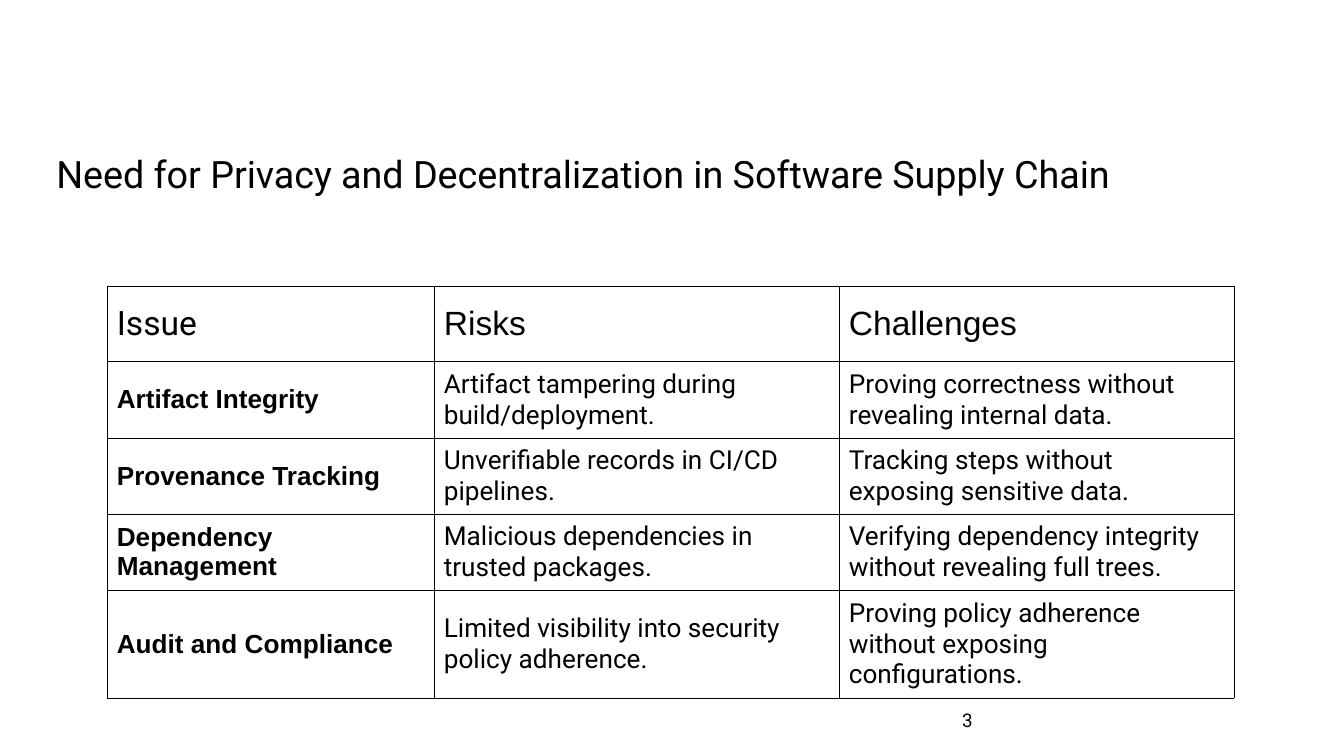
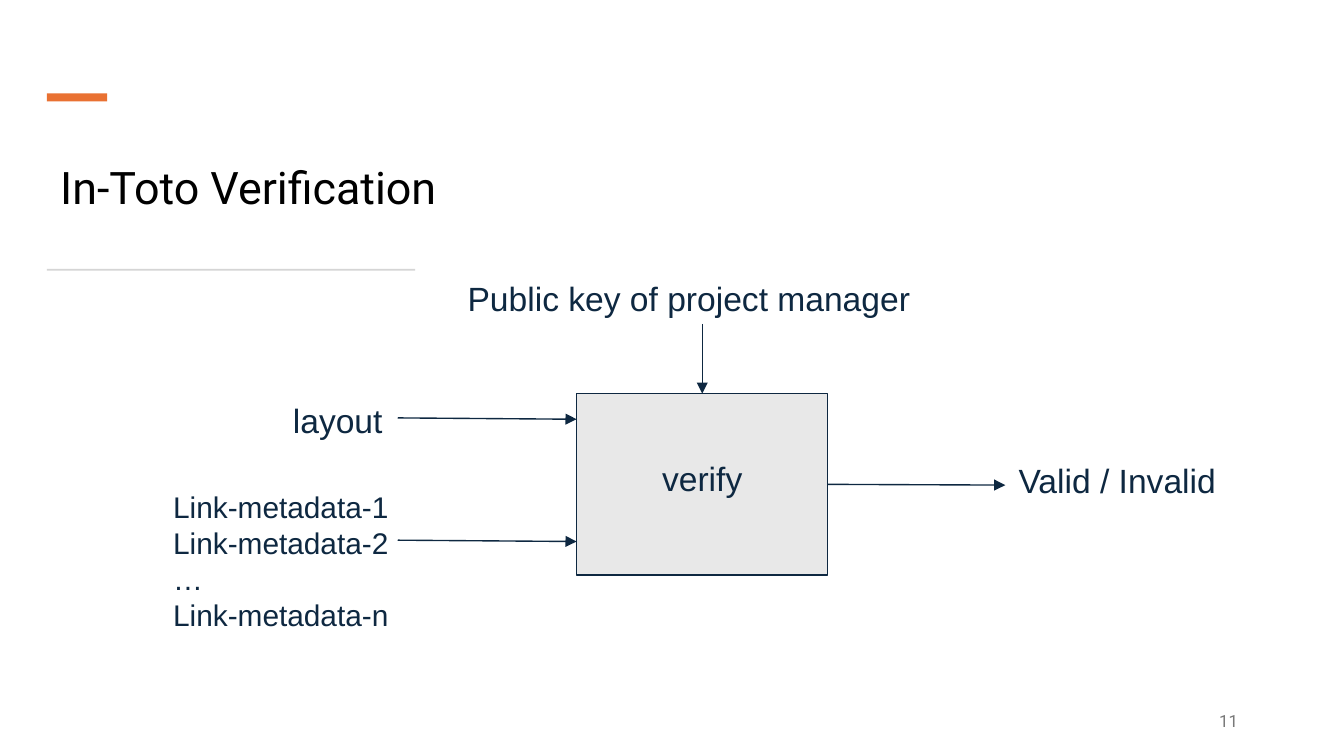
from dataclasses import dataclass

from lxml.etree import SubElement as add_node
from pptx import Presentation
from pptx.dml.color import RGBColor
from pptx.enum.shapes import MSO_CONNECTOR as Connector, MSO_SHAPE as Preset
from pptx.enum.text import MSO_ANCHOR as Anchor, PP_ALIGN as Align
from pptx.oxml.ns import qn
from pptx.util import Pt


@dataclass(frozen=True)
class Theme:
    heading: str = "Roboto"
    body: str = "Arial"
    ink: str = "000000"
    navy: str = "0E2841"
    panel: str = "E8E8E8"
    accent: str = "E97132"
    rule: str = "D5D5D5"
    muted: str = "797979"
    large: float = 18
    medium: float = 16
    small: float = 14
    line: float = 0.75
    border: float = 0.25


@dataclass(frozen=True)
class Box:
    left: float
    top: float
    width: float
    height: float

    def inside(self, left, top, width, height):
        return Box(self.left + left, self.top + top, width, height)

    def point(self, left, top):
        return Pt(self.left + left), Pt(self.top + top)

    def lengths(self):
        return Pt(self.left), Pt(self.top), Pt(self.width), Pt(self.height)


THEME = Theme()
TIGHT = (5, 3.6)
ROOMY = (7.2, 7.2)
NORMAL = (7.2, 3.6)
NUMBER_BOX = Box(508.3, 375.1, 162, 21.6)
HEADERS = ("Issue", "Risks", "Challenges")
ISSUES = (
    ("Artifact Integrity", "Artifact tampering during build/deployment.",
     "Proving correctness without revealing internal data."),
    ("Provenance Tracking", "Unverifiable records in CI/CD pipelines.",
     "Tracking steps without exposing sensitive data."),
    ("Dependency Management", "Malicious dependencies in trusted packages.",
     "Verifying dependency integrity without revealing full trees."),
    ("Audit and Compliance", "Limited visibility into security policy adherence.",
     "Proving policy adherence without exposing configurations."),
)


def apply(target, values):
    for name, value in values.items():
        setattr(target, name, value)


def margins(inset):
    across, down = (Pt(value) for value in inset)
    return dict(margin_left=across, margin_right=across,
                margin_top=down, margin_bottom=down)


def write(frame, lines, size, font, color, bold=False, **para_format):
    for index, line in enumerate(lines):
        para = frame.add_paragraph() if index else frame.paragraphs[0]
        apply(para, para_format)
        span = para.add_run()
        span.text = line
        apply(span.font, dict(size=Pt(size), name=font, bold=bold))
        span.font.color.rgb = RGBColor.from_string(color)


def add_text(page, box, lines, size, font, color,
             inset=NORMAL, anchor=Anchor.TOP, **para_format):
    frame = page.shapes.add_textbox(*box.lengths()).text_frame
    apply(frame, dict(word_wrap=True, vertical_anchor=anchor, **margins(inset)))
    write(frame, lines, size, font, color, **para_format)


def add_title(page, box, text, size, inset=NORMAL):
    add_text(page, box, [text], size, THEME.heading, THEME.ink,
             inset, Anchor.MIDDLE, line_spacing=0.9)


def add_number(page, text, size, color, align):
    add_text(page, NUMBER_BOX, [text], size, THEME.heading, color,
             anchor=Anchor.MIDDLE, alignment=align)


def add_block(page, box, fill, line=None):
    block = page.shapes.add_shape(Preset.RECTANGLE, *box.lengths())
    block.shadow.inherit = False
    block.fill.solid()
    block.fill.fore_color.rgb = RGBColor.from_string(fill)
    if line:
        block.line.color.rgb = RGBColor.from_string(line)
        block.line.width = Pt(THEME.line)
    else:
        block.line.fill.background()
    return block


def add_arrow(page, start, end):
    arrow = page.shapes.add_connector(Connector.STRAIGHT, *start, *end)
    arrow.line.color.rgb = RGBColor.from_string(THEME.navy)
    arrow.line.width = Pt(THEME.line)
    add_node(arrow.line._get_or_add_ln(), qn("a:tailEnd"), type="triangle")
    add_node(arrow._element.spPr, qn("a:effectLst"))
    return arrow


def add_borders(cell):
    properties = cell._tc.get_or_add_tcPr()
    for side in ("lnL", "lnR", "lnT", "lnB"):
        line = add_node(properties, qn(f"a:{side}"), w=str(Pt(THEME.border)))
        fill = add_node(line, qn("a:solidFill"))
        add_node(fill, qn("a:srgbClr"), val=THEME.ink)


def add_issue_table(page, box, widths):
    rows = (HEADERS, *ISSUES)
    table = page.shapes.add_table(len(rows), len(widths), *box.lengths()).table
    apply(table, dict(first_row=False, horz_banding=False))
    for column, width in zip(table.columns, widths):
        column.width = Pt(width)
    for row_index, texts in enumerate(rows):
        table.rows[row_index].height = Pt(box.height / len(rows))
        for column_index, text in enumerate(texts):
            cell = table.cell(row_index, column_index)
            header = row_index == 0
            label = not header and column_index == 0
            plain = label or (header and column_index > 0)
            add_borders(cell)
            cell.fill.background()
            apply(cell, dict(vertical_anchor=Anchor.MIDDLE, **margins(TIGHT)))
            write(cell.text_frame, [text],
                  THEME.large if header else THEME.small,
                  THEME.body if plain else THEME.heading,
                  THEME.ink, bold=label)


def add_verify_diagram(page, box):
    verify = add_block(page, box.inside(223.2, 69.1, 134.6, 97.2),
                       THEME.panel, THEME.navy)
    links = ["Link-metadata-1", "Link-metadata-2", "…", "Link-metadata-n"]
    labels = (
        ((231.1, 96.5, 118.8, 36.7), ["verify"], THEME.large, Align.CENTER),
        ((64.1, 65.5, 64.1, 34.6), ["layout"], THEME.large, Align.LEFT),
        ((0, 113, 152.6, 97.2), links, THEME.medium, Align.LEFT),
        ((452.9, 97.2, 133.9, 36.7), ["Valid / Invalid"], THEME.large, Align.LEFT),
        ((157.7, 0, 265, 34.6), ["Public key of project manager"],
         THEME.large, Align.LEFT),
    )
    for place, lines, size, align in labels:
        add_text(page, box.inside(*place), lines, size, THEME.body, THEME.navy,
                 ROOMY, alignment=align)
    for height in (82.1, 147.6):
        add_arrow(page, box.point(127.4, height), box.point(223.2, height + 0.7))
    result = add_arrow(page, box.point(357.8, 117.7), box.point(452.9, 118.1))
    result.begin_connect(verify, 3)
    key = add_arrow(page, box.point(290.5, 31.7), box.point(290.5, 69.1))
    key.end_connect(verify, 0)


def build_issues(page):
    add_title(page, Box(25.2, 64.1, 674.6, 60.5),
              "Need for Privacy and Decentralization in Software Supply Chain",
              20.2, TIGHT)
    add_issue_table(page, Box(57.6, 153.4, 603.4, 201.6), (175.2, 217, 211.2))
    add_number(page, "3", 10.1, THEME.ink, Align.LEFT)


def build_verification(page):
    add_title(page, Box(25.2, 68.4, 619.2, 66.2), "In-Toto Verification", 24)
    add_block(page, Box(25.2, 50, 32.2, 4.3), THEME.accent)
    add_block(page, Box(25.2, 144, 197.3, 1), THEME.rule)
    add_verify_diagram(page, Box(85.7, 141.8, 587, 210.3))
    add_number(page, "11", 9, THEME.muted, Align.RIGHT)


def main():
    deck = Presentation()
    apply(deck, dict(slide_width=Pt(720), slide_height=Pt(405)))
    for build in (build_issues, build_verification):
        build(deck.slides.add_slide(deck.slide_layouts[6]))
    deck.save("out.pptx")


if __name__ == "__main__":
    main()
